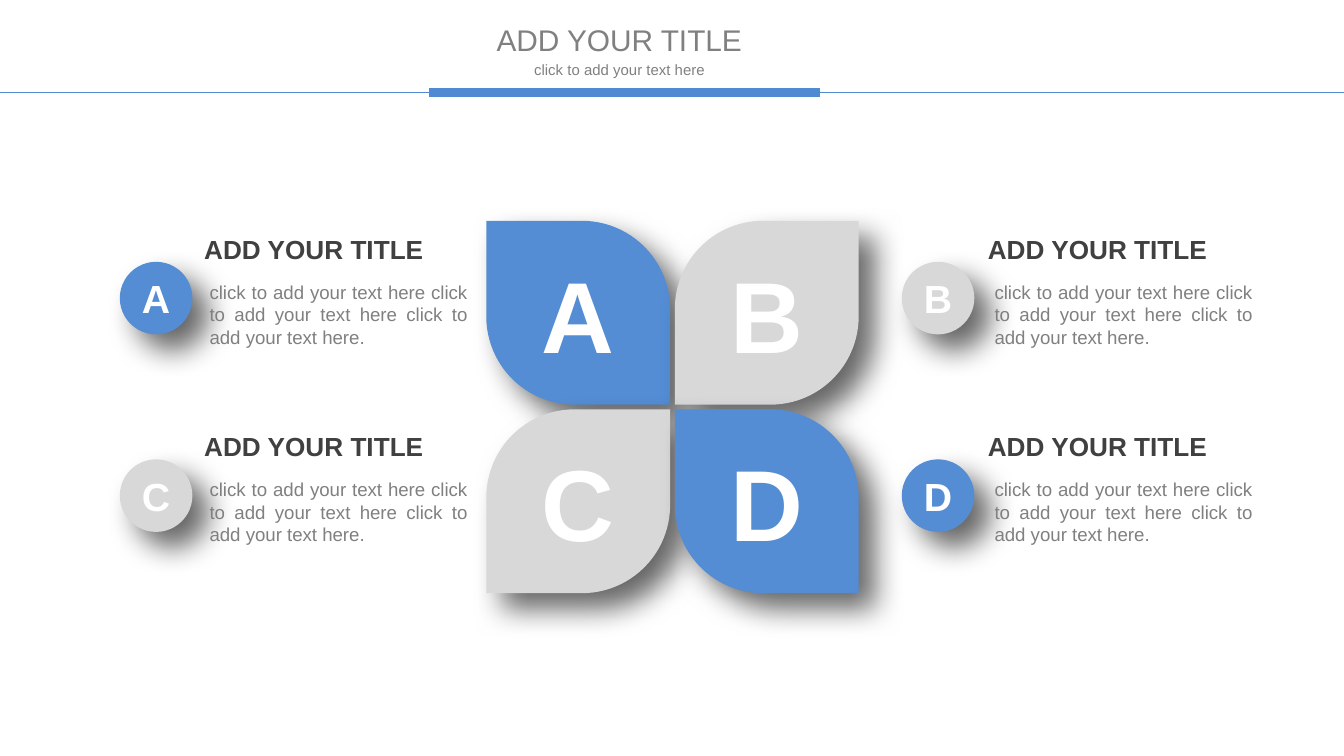
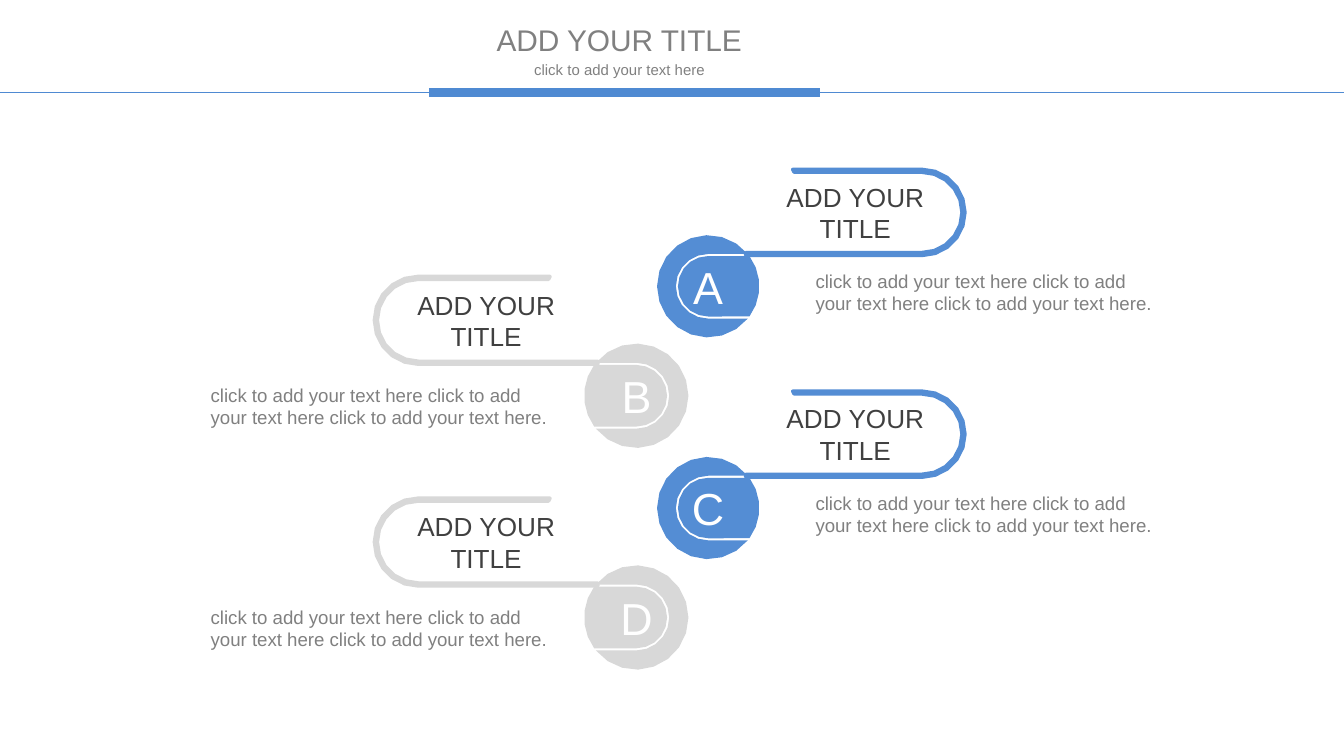
"""Build two slides of lettered items: a four-petal flower and a ladder of hooked badges."""
from math import ceil, cos, radians, sin

from lxml.etree import SubElement
from pptx import Presentation
from pptx.dml.color import RGBColor
from pptx.enum.shapes import MSO_CONNECTOR, MSO_SHAPE
from pptx.enum.text import MSO_ANCHOR as ANCHOR, MSO_AUTO_SIZE, PP_ALIGN as ALIGN
from pptx.oxml.ns import qn
from pptx.util import Pt

BLUE = RGBColor(0x54, 0x8D, 0xD4)
RULE_BLUE = RGBColor(0x4F, 0x8A, 0xD2)
SILVER = RGBColor(0xD8, 0xD8, 0xD8)
GREY = RGBColor(0x80, 0x80, 0x80)
CHARCOAL = RGBColor(0x40, 0x40, 0x40)
WHITE = RGBColor(0xFF, 0xFF, 0xFF)

TITLE = "ADD YOUR TITLE"
SUBTITLE = "click to add your text here"
BODY = " ".join([SUBTITLE] * 3) + "."


def write(shape, text, size, color, bold=False, align=ALIGN.CENTER,
          anchor=ANCHOR.TOP, margins=(7.2, 3.6), wrap=True):
    """Put one formatted paragraph into a shape."""
    frame = shape.text_frame
    frame.auto_size = MSO_AUTO_SIZE.NONE
    frame.word_wrap = wrap
    frame.vertical_anchor = anchor
    frame.margin_left = frame.margin_right = Pt(margins[0])
    frame.margin_top = frame.margin_bottom = Pt(margins[1])
    paragraph = frame.paragraphs[0]
    paragraph.alignment = align
    run = paragraph.add_run()
    run.text = text
    run.font.name = "Arial"
    run.font.size = Pt(size)
    run.font.bold = bold
    run.font.color.rgb = color


def arc(x, y, radius, start, stop):
    """Return points along an arc, with angles in degrees clockwise from the right."""
    steps = ceil(abs(stop - start) / 18)
    angles = [radians(start + (stop - start) * i / steps) for i in range(steps + 1)]
    return [(x + radius * cos(a), y + radius * sin(a)) for a in angles]


presentation = Presentation()
presentation.slide_width = Pt(720)
presentation.slide_height = Pt(405)

for _ in range(2):
    slide = presentation.slides.add_slide(presentation.slide_layouts[5])
    title = slide.shapes.title
    title.left, title.top, title.width, title.height = Pt(257.8), Pt(8), Pt(148), Pt(26.6)
    write(title, TITLE, 16, GREY, wrap=False)
    subtitle = slide.shapes.add_textbox(Pt(264), Pt(28.8), Pt(136), Pt(17.3))
    write(subtitle, SUBTITLE, 8, GREY)
    for left, right, width in [(0, 720, 0.75), (229.7, 439.2, 5)]:
        rule = slide.shapes.add_connector(
            MSO_CONNECTOR.STRAIGHT, Pt(left), Pt(49.7), Pt(right), Pt(49.7))
        rule.line.color.rgb = RULE_BLUE
        rule.line.width = Pt(width)
        SubElement(rule.element.spPr, qn("a:effectLst"))

flower_slide, ladder_slide = presentation.slides

PETAL, PETAL_PITCH = 98.5, 101
DISC = 38.9
ROW_PITCH = 105.8
DISC_LEFT = (64.2, 483.1)
HEADING_LEFT = (104.4, 524.2)
BODY_LEFT = (107.3, 527.8)

shapes = flower_slide.shapes
for index, letter in enumerate("ABCD"):
    row, column = divmod(index, 2)
    on_diagonal = row == column
    drop = row * ROW_PITCH

    petal = shapes.add_shape(
        MSO_SHAPE.ROUND_2_DIAG_RECTANGLE, Pt(260.5 + column * PETAL_PITCH),
        Pt(118.3 + row * PETAL_PITCH), Pt(PETAL), Pt(PETAL))
    petal.adjustments[0] = 0 if on_diagonal else 0.48
    petal.adjustments[1] = 0.48 if on_diagonal else 0
    disc = shapes.add_shape(
        MSO_SHAPE.OVAL, Pt(DISC_LEFT[column]), Pt(140.3 + drop), Pt(DISC), Pt(DISC))

    for shape, size in [(petal, 54), (disc, 21)]:
        shape.fill.solid()
        shape.fill.fore_color.rgb = BLUE if on_diagonal else SILVER
        shape.line.fill.background()
        shape.shadow.inherit = False
        effects = shape.element.spPr.find(qn("a:effectLst"))
        shadow = SubElement(
            effects, qn("a:outerShdw"), blurRad=str(Pt(16)), dist=str(Pt(12)),
            dir="2700000", algn="tl", rotWithShape="0")
        shadow_color = SubElement(shadow, qn("a:srgbClr"), val="000000")
        SubElement(shadow_color, qn("a:alpha"), val="60000")
        write(shape, letter, size, WHITE, bold=True, anchor=ANCHOR.MIDDLE,
              margins=(0, 0), wrap=False)

    body = shapes.add_textbox(Pt(BODY_LEFT[column]), Pt(147.6 + drop), Pt(148), Pt(41.8))
    write(body, BODY, 10, GREY, align=ALIGN.JUSTIFY, margins=(5, 2.7))
    heading = shapes.add_textbox(
        Pt(HEADING_LEFT[column]), Pt(122.2 + drop), Pt(131.8), Pt(22.3))
    write(heading, TITLE, 14, CHARCOAL, bold=True, align=ALIGN.JUSTIFY, margins=(5, 2.7))

BADGE_RADIUS = 27.4
BADGE_CONTOURS = [
    arc(0, 0, BADGE_RADIUS, -39.2, -320.8) + arc(0, 0, 17.3, 90, 270),
    arc(0, 0, BADGE_RADIUS, -36.2, 36.2) + arc(0, 0, 16.2, 90, 270),
]
HOOK_CONTOURS = [
    [(20.2, -16.6)] + arc(114.5, -39.6, 23, 90, -90) + [(45.4, -62.6), (46.1, -61.2)]
    + arc(114.5, -39.6, 21.6, -90, 90) + [(20.2, -18)]
]
LADDER_PITCH = 118.8

shapes = ladder_slide.shapes
for index, letter in enumerate("ABCD"):
    pair, on_left = divmod(index, 2)
    if on_left:
        center_x, center_y, x_scale, y_scale = 340.9, 212, -1.02, 1.02
        color, body_left, body_top = SILVER, 105.8, 202
    else:
        center_x, center_y, x_scale, y_scale = 379.4, 153.4, 1, 1
        color, body_left, body_top = BLUE, 429.8, 141
    drop = pair * LADDER_PITCH

    for contours, text, size, text_color in [
            (BADGE_CONTOURS, letter, 24, WHITE), (HOOK_CONTOURS, TITLE, 14, CHARCOAL)]:
        placed = [[(Pt(center_x + x_scale * x), Pt(center_y + drop + y_scale * y))
                   for x, y in contour] for contour in contours]
        builder = shapes.build_freeform(*placed[0][0])
        builder.add_line_segments(placed[0][1:])
        for contour in placed[1:]:
            builder.move_to(*contour[0])
            builder.add_line_segments(contour[1:])
        shape = builder.convert_to_shape()
        shape.shadow.inherit = False
        shape.fill.solid()
        shape.fill.fore_color.rgb = color
        if contours is HOOK_CONTOURS:
            shape.line.color.rgb = color
            shape.line.width = Pt(2)
        else:
            shape.line.fill.background()
        write(shape, text, size, text_color, anchor=ANCHOR.MIDDLE)

    body = shapes.add_textbox(Pt(body_left), Pt(body_top + drop), Pt(195.8), Pt(31.7))
    write(body, BODY, 10, GREY, align=ALIGN.LEFT)

presentation.save("out.pptx")
